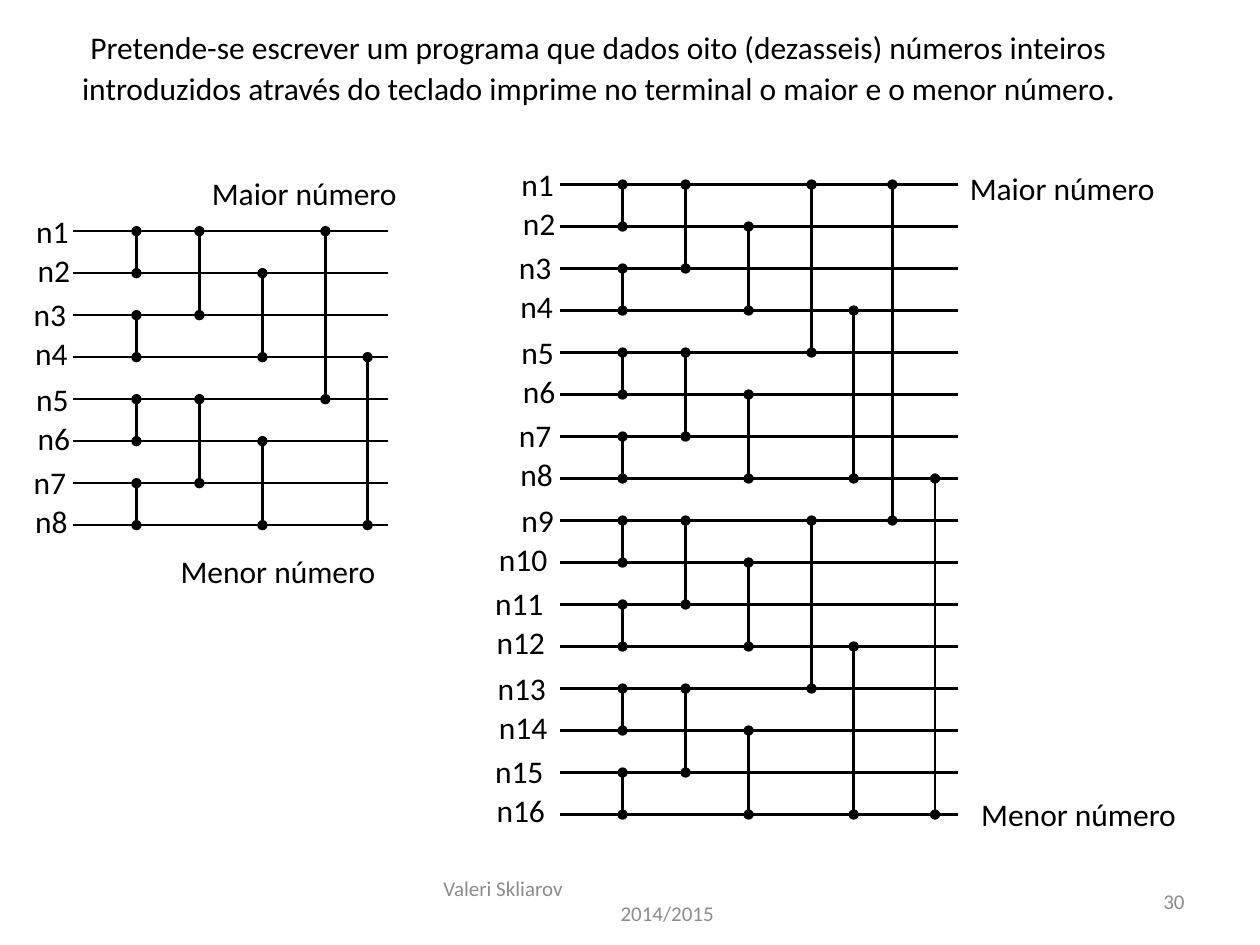
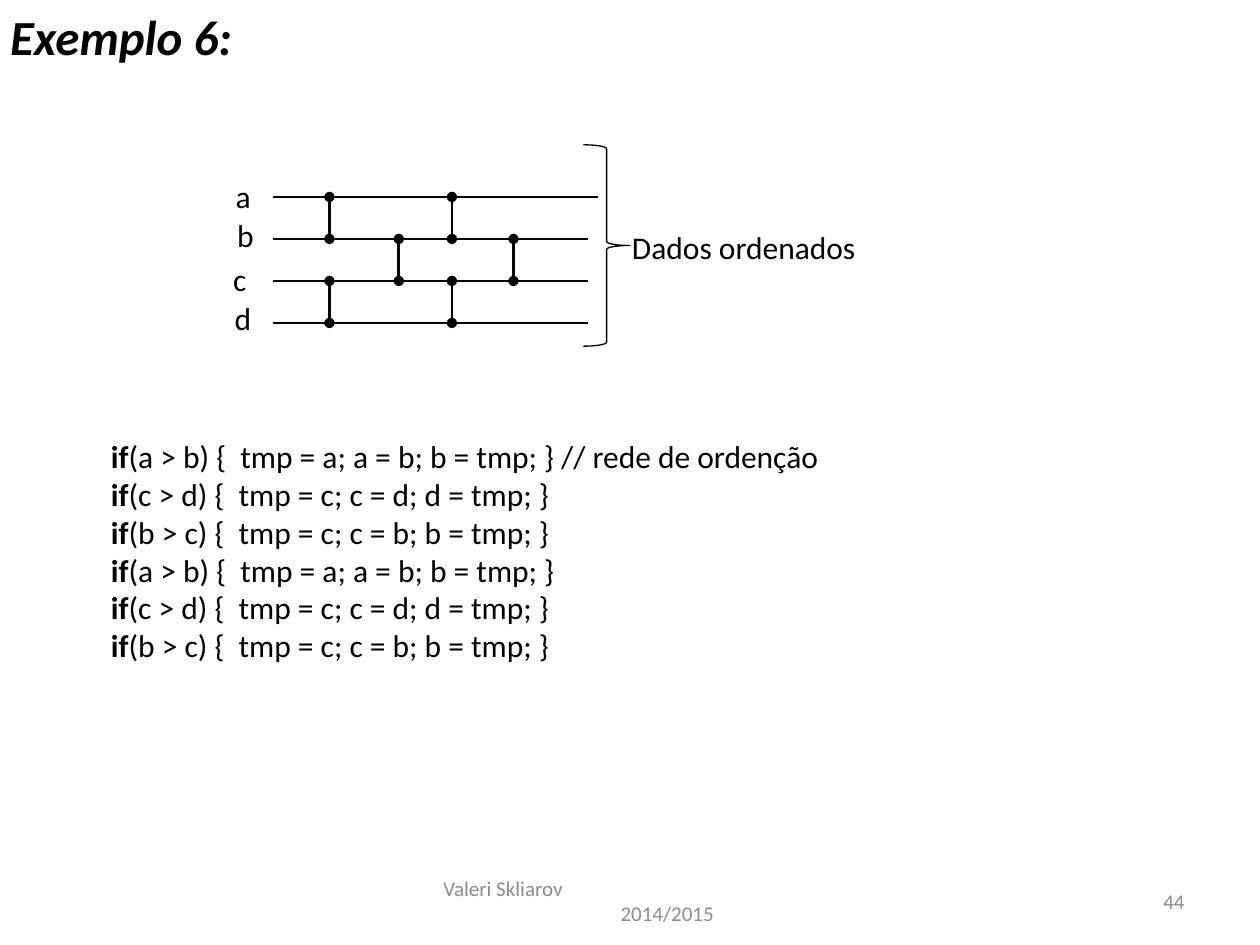
"""Builds two slides on comparator networks: minimum/maximum search and sorting."""
from dataclasses import dataclass

from lxml import etree
from pptx import Presentation
from pptx.dml.color import RGBColor
from pptx.enum.shapes import MSO_CONNECTOR, MSO_SHAPE
from pptx.enum.text import MSO_ANCHOR, MSO_AUTO_SIZE, PP_ALIGN
from pptx.oxml.ns import qn
from pptx.util import Cm, Pt


@dataclass(frozen=True)
class Theme:
    font: str = "Calibri"
    ink: RGBColor = RGBColor(0, 0, 0)
    muted: RGBColor = RGBColor(0x8C, 0x8C, 0x8C)
    heading: int = 28
    full_stop: int = 20
    text: int = 18
    footer: int = 12
    wire: float = 1.5
    brace: float = 0.75


THEME = Theme()
PITCH = 2.54 / 3
NUDGES = [(0.05, -0.52), (0.08, -0.58), (0, -0.54), (0.03, -0.6)]


def add_text(sp, box, lines, size=THEME.text, color=THEME.ink,
             align=PP_ALIGN.LEFT, anchor=MSO_ANCHOR.TOP):
    """Place a text shape and fill it with lines, each a list of runs."""
    sp.left, sp.top, sp.width, sp.height = [Cm(v) for v in box]
    tf = sp.text_frame
    tf.word_wrap = True
    tf.auto_size = MSO_AUTO_SIZE.NONE
    tf.vertical_anchor = anchor
    for i, runs in enumerate(lines):
        p = tf.add_paragraph() if i else tf.paragraphs[0]
        p.alignment = align
        for text in runs:
            r = p.add_run()
            r.text = text
            r.font.name = THEME.font
            r.font.size = Pt(size)
            r.font.color.rgb = color
    return tf


def add_line(s, x1, y1, x2, y2, dots=False):
    """Draw a wire, or a comparator with a dot at both ends."""
    cx = s.shapes.add_connector(MSO_CONNECTOR.STRAIGHT, Cm(x1), Cm(y1), Cm(x2), Cm(y2))
    cx.line.color.rgb = THEME.ink
    cx.line.width = Pt(THEME.wire)
    sp_pr = cx._element.spPr
    if dots:
        for end in ("a:headEnd", "a:tailEnd"):
            etree.SubElement(sp_pr.find(qn("a:ln")), qn(end), type="oval")
    etree.SubElement(sp_pr, qn("a:effectLst"))


prs = Presentation()
prs.slide_width, prs.slide_height = Cm(25.4), Cm(19.05)
search, sorting = [prs.slides.add_slide(prs.slide_layouts[5]) for _ in range(2)]

for s, number in [(search, "30"), (sorting, "44")]:
    tf = add_text(s.shapes.add_textbox(0, 0, 0, 0), (8.69, 17.65, 8.05, 1.02),
                  [["Valeri Skliarov"], ["2014/2015"]], THEME.footer, THEME.muted,
                  anchor=MSO_ANCHOR.MIDDLE)
    tf.paragraphs[1]._p.get_or_add_pPr().set("marL", str(Cm(3.57)))
    add_text(s.shapes.add_textbox(0, 0, 0, 0), (18.21, 17.65, 5.92, 1.02),
             [[number]], THEME.footer, THEME.muted, PP_ALIGN.RIGHT, MSO_ANCHOR.MIDDLE)

tf = add_text(search.shapes.title, (1.27, 0.43, 21.59, 1.88),
              [["Pretende-se escrever um programa que dados oito (dezasseis) números inteiros "
                "introduzidos através do teclado imprime no terminal o maior e o menor número",
                "."]], align=PP_ALIGN.CENTER)
tf.paragraphs[0].runs[1].font.size = Pt(THEME.full_stop)

tf = add_text(sorting.shapes.title, (-0.05, 0, 6, 1.45), [["Exemplo 6:"]], THEME.heading)
tf.paragraphs[0].runs[0].font.bold = True
tf.paragraphs[0].runs[0].font.italic = True

# Each column: wires spanned, first wire, distance from the left end of the wires.
search_columns = [(1, 0, 1.27), (2, 0, 2.54), (2, 1, 3.81), (4, 0, 5.08),
                  (4, 3, 5.93), (8, 0, 6.71), (8, 7, 7.57)]
sorting_columns = [(1, 0, 1.14), (1, 1, 2.54), (1, 0, 3.61), (1, 1, 4.85)]
numbers = [f"n{i}" for i in range(1, 17)]
networks = [
    (search, 1.48, 4.66, 6.35, 6.35, 0.43, numbers[:8], search_columns),
    (search, 11.28, 3.72, 8.03, 8.03, 10.21, numbers, search_columns),
    (sorting, 5.5, 3.97, 6.56, 6.35, 4.45, list("abcd"), sorting_columns),
]
for s, left, top, first_length, length, label_left, labels, columns in networks:
    for i, label in enumerate(labels):
        y = top + i * PITCH
        add_line(s, left, y, left + (length if i else first_length), y)
        dx, dy = NUDGES[i % 4]
        x = label_left + dx - (0.48 if len(label) > 2 else 0)
        add_text(s.shapes.add_textbox(0, 0, 0, 0), (x, y + dy, 1.8, 1.03), [[label]])
    for span, first, offset in columns:
        for i in range(first, len(labels) - span, 2 * span):
            y = top + i * PITCH
            add_line(s, left + offset, y, left + offset, y + span * PITCH, dots=True)

captions = [
    (search, 4.02, 3.38, "Maior número"),
    (search, 3.39, 11, "Menor número"),
    (search, 19.3, 3.28, "Maior número"),
    (search, 19.53, 15.9, "Menor número"),
    (sorting, 12.49, 4.47, "Dados ordenados"),
]
for s, x, y, caption in captions:
    add_text(s.shapes.add_textbox(0, 0, 0, 0), (x, y, 5.5, 1.03), [[caption]])

brace = sorting.shapes.add_shape(MSO_SHAPE.RIGHT_BRACE, Cm(11.76), Cm(2.92), Cm(0.94), Cm(4.06))
brace.shadow.inherit = False
brace.fill.background()
brace.line.color.rgb = THEME.ink
brace.line.width = Pt(THEME.brace)

swaps = [
    "(a > b) {  tmp = a; a = b; b = tmp; } // rede de ordenção",
    "(c > d) {  tmp = c; c = d; d = tmp; }",
    "(b > c) {  tmp = c; c = b; b = tmp; }",
    "(a > b) {  tmp = a; a = b; b = tmp; }",
    "(c > d) {  tmp = c; c = d; d = tmp; }",
    "(b > c) {  tmp = c; c = b; b = tmp; }",
]
tf = add_text(sorting.shapes.add_textbox(0, 0, 0, 0), (1.7, 8.69, 16, 4.88),
              [["  ", "if", swap] for swap in swaps])
for p in tf.paragraphs:
    p.runs[1].font.bold = True

prs.save("out.pptx")
